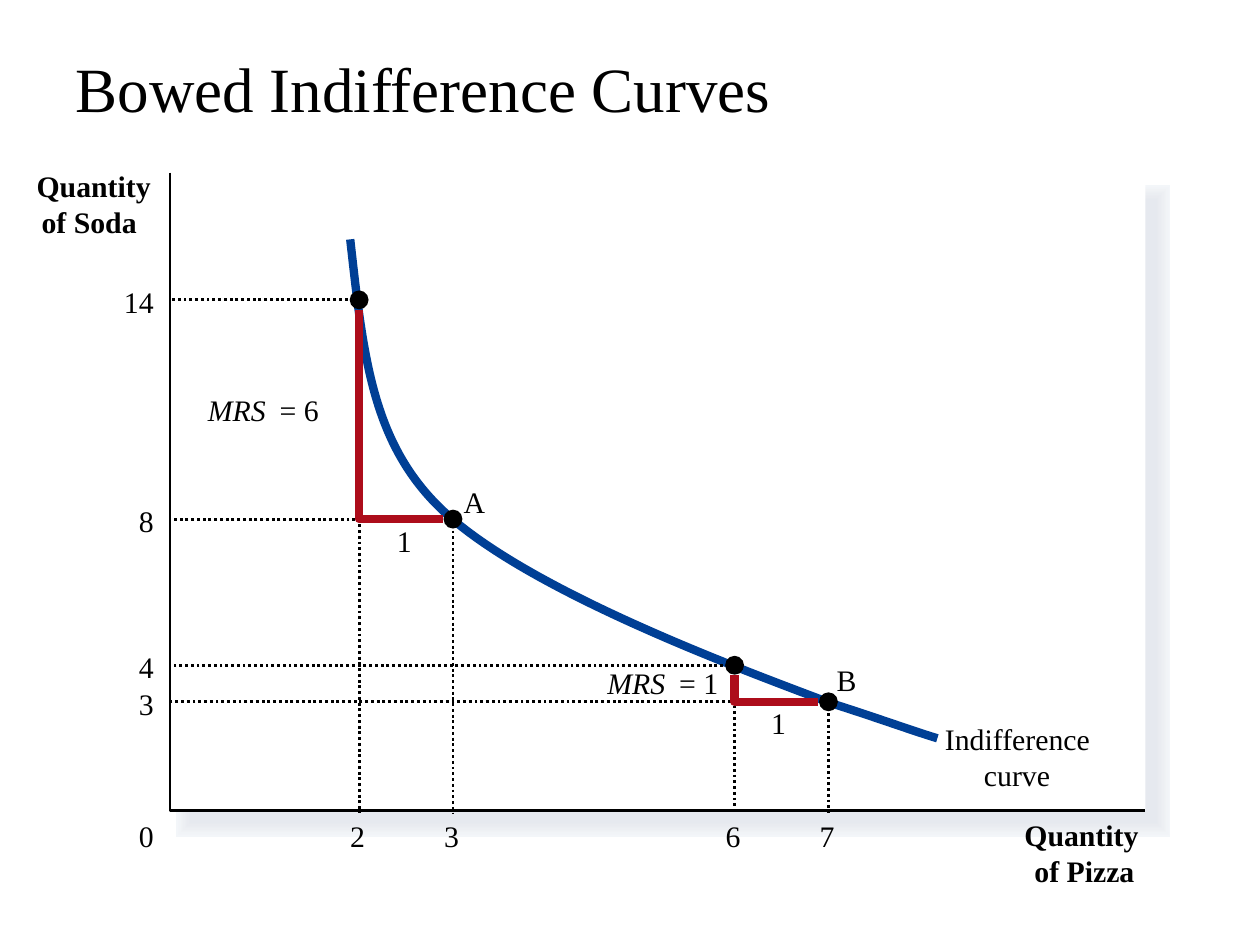
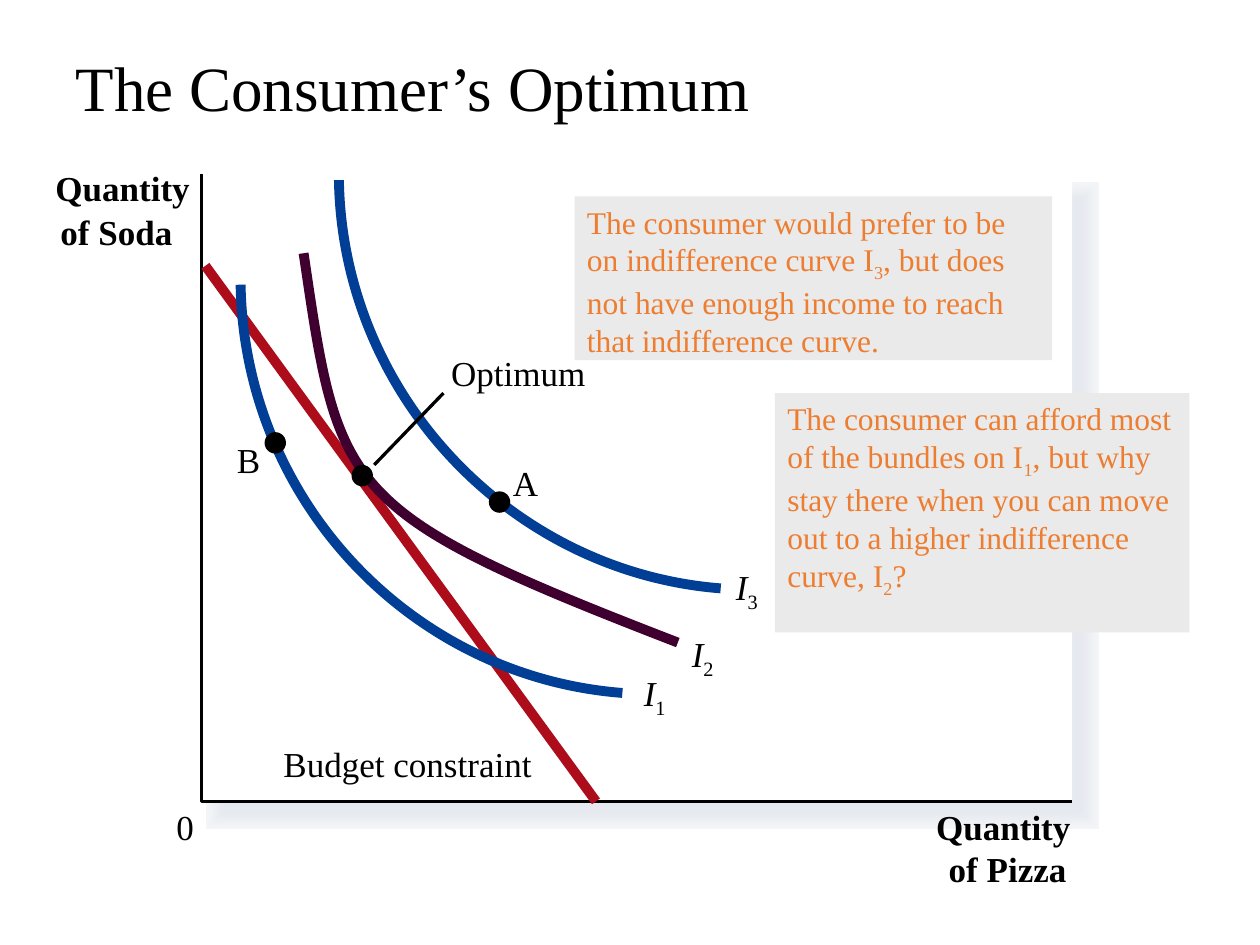
from lxml import etree
from pptx import Presentation
from pptx import util as u
from pptx.dml.color import RGBColor
from pptx.enum import dml, shapes, text
from pptx.oxml.ns import qn

BLACK, WHITE, RED, BLUE, PLUM = "000000", "FFFFFF", "AD0D1B", "003F95", "3F002F"
NOTE_FILL, NOTE_TEXT = "EAEAEA", "ED7D31"
SHADES = ["F3F6F9", "F2F4F8", "F1F4F7", "F0F2F5", "EEF1F4", "EDEFF3",
          "EBEEF2", "EAECF1", "E9EBF0", "E7EAEF", "E6E9EF"]
SOLID, DOTTED = dml.MSO_LINE.SOLID, dml.MSO_LINE.ROUND_DOT
LEFT, RIGHT = text.PP_ALIGN.LEFT, text.PP_ALIGN.RIGHT
BOLD, ITALIC = {"bold": True}, {"italic": True}

deck = Presentation()
deck.slide_width, deck.slide_height = u.Inches(10), u.Inches(7.5)
cell = deck.slide_width // 100


def paint(fill, color):
    fill.solid()
    fill.fore_color.rgb = RGBColor.from_string(color)


def write(frame, words, size, color, spacing=1.0, align=LEFT, looks={}):
    paragraph = frame.paragraphs[0]
    paragraph.alignment = align
    paragraph.line_spacing = spacing
    for order, part in enumerate(words.split("_")):
        run = paragraph.add_run()
        run.text = part
        run.font.name = "Times New Roman"
        run.font.size = u.Pt(size)
        paint(run.font.fill, color)
        if order % 2:
            run._r.get_or_add_rPr().set("baseline", "-25000")
        else:
            for key, value in looks.items():
                setattr(run.font, key, value)


bundles = {(pizza, soda): (13.6 + 7.45 * pizza, 64.4 - 2.9 * soda)
           for pizza, soda in [(2, 14), (3, 8), (6, 4), (7, 3)]}
guides, ticks, trades = [], [], []
for (pizza, soda), (x, y) in bundles.items():
    guides += [(BLACK, 1.63, DOTTED, [(x, y), (13.5, y)]),
               (BLACK, 1.63, DOTTED, [(x, y), (x, 64.5)])]
    ticks += [(str(soda), 9.7, y - 1.3, 2.5, RIGHT, {}),
              (str(pizza), x - 0.7, 64.9, 2.4, LEFT, {})]
for start, end in [((2, 14), (3, 8)), ((6, 4), (7, 3))]:
    (x, y), (end_x, end_y) = bundles[start], bundles[end]
    trades.append((RED, 4.75, SOLID, [(x, y + 0.8), (x, end_y), (end_x - 0.8, end_y)]))

bowed = {
    "title": "Bowed Indifference Curves", "title_top": 1.1,
    "plot": (13.5, 13.7, 77.4, 50.6), "shadow": (15.2, 15.9, 76.5, 49.3),
    "rim": 1.57, "axis": 1.63, "size": 17, "dot": 1.5,
    "strokes": [(BLUE, 4.75, SOLID, [
        (27.8, 19), (28.9, 28.8), (29.6, 35.8), (35.9, 41.2), (43.3, 47.5),
        (59.6, 53.4), (65.9, 55.8), (69.4, 56.9), (72.4, 58), (74.4, 58.6)])]
    + guides + trades,
    "dots": list(bundles.values()),
    "labels": ticks + [
        ("Quantity", 81.3, 64.8, 10.8, LEFT, BOLD),
        ("of Pizza", 82.1, 67.7, 10, LEFT, BOLD),
        ("Quantity", 2.9, 13.3, 10.8, LEFT, BOLD),
        ("of Soda", 3.3, 16.2, 10.3, LEFT, BOLD),
        ("0", 9.7, 64.9, 2.5, RIGHT, {}),
        ("Indifference", 75, 57.2, 13.3, LEFT, {}),
        ("curve", 78.1, 60.1, 6.7, LEFT, {}),
        ("A", 36.8, 38.4, 2.7, LEFT, {}),
        ("B", 66.4, 52.5, 2.7, LEFT, {}),
        ("1", 31.5, 41.5, 2.4, LEFT, {}),
        ("MRS", 16.5, 31.1, 5.2, LEFT, ITALIC),
        ("= 6", 22.2, 31.1, 4.5, LEFT, {}),
        ("1", 61.2, 55.9, 2.4, LEFT, {}),
        ("MRS", 48.2, 52.8, 5.2, LEFT, ITALIC),
        ("= 1", 53.9, 52.8, 4.5, LEFT, {})],
    "notes": [],
}

optimum = {
    "title": "The Consumer’s Optimum", "title_top": 1,
    "plot": (16, 13.8, 69.1, 49.8), "shadow": (17.8, 15.9, 68, 48.5),
    "rim": 1.87, "axis": 1.88, "size": 20, "dot": 1.7,
    "strokes": [
        (RED, 5.63, SOLID, [(16.3, 21.1), (47.3, 63.6)]),
        (BLUE, 5.63, SOLID, [(49.4, 55), (32.6, 53.7), (19.4, 39.7), (19.1, 22.6)]),
        (PLUM, 5.63, SOLID, [(53.8, 51), (26.9, 40.6), (26.9, 39.1), (24.1, 20.1)]),
        (BLUE, 5.63, SOLID, [(57.2, 46.7), (40.6, 45.4), (27.2, 31.4), (26.9, 14.3)]),
        (BLACK, 1.88, SOLID, [(35.2, 31.2), (29.7, 36.9)])],
    "dots": [(28.75, 37.75), (39.65, 39.85), (21.85, 35.15)],
    "labels": [
        ("Quantity", 74.3, 63.9, 11.2, LEFT, BOLD),
        ("of Pizza", 75.3, 67.3, 10.3, LEFT, BOLD),
        ("Quantity", 4.4, 13.2, 11.2, LEFT, BOLD),
        ("of Soda", 4.8, 16.7, 10.8, LEFT, BOLD),
        ("0", 14, 63.9, 1.5, LEFT, {}),
        ("Budget constraint", 22.5, 58.9, 21.6, LEFT, {}),
        ("I_1", 51.1, 53.3, 1.8, LEFT, ITALIC),
        ("I_2", 54.9, 50.2, 1.8, LEFT, ITALIC),
        ("I_3", 58.4, 44.9, 1.8, LEFT, ITALIC),
        ("Optimum", 35.8, 27.9, 11.2, LEFT, {}),
        ("A", 40.7, 36.6, 1.9, LEFT, {}),
        ("B", 18.8, 34.8, 1.9, LEFT, {})],
    "notes": [
        ("The consumer would prefer to be on indifference curve I_3_, but does not "
         "have enough income to reach that indifference curve.", (45.6, 15.6, 37.9, 13)),
        ("The consumer can afford most of the bundles on I_1_, but why stay there when "
         "you can move out to a higher indifference curve, I_2_?", (61.5, 31.2, 32.9, 19))],
}

for figure in (bowed, optimum):
    slide = deck.slides.add_slide(deck.slide_layouts[5])
    canvas = slide.shapes
    heading = canvas.title
    box = (5, figure["title_top"], 90, 12.5)
    for side, length in zip(("left", "top", "width", "height"), box):
        setattr(heading, side, int(length * cell))
    heading.text_frame.vertical_anchor = text.MSO_ANCHOR.MIDDLE
    write(heading.text_frame, figure["title"], 36, BLACK, 0.9)

    panels = [(color, figure["shadow"], figure["rim"] * (len(SHADES) - layer))
              for layer, color in enumerate(SHADES)]
    for color, box, rim in panels + [(WHITE, figure["plot"], 0)]:
        panel = canvas.add_shape(shapes.MSO_SHAPE.RECTANGLE, *(int(n * cell) for n in box))
        panel.shadow.inherit = False
        paint(panel.fill, color)
        if rim:
            paint(panel.line.fill, color)
            panel.line.width = u.Pt(rim)
            edge = panel._element.spPr.find(qn("a:ln"))
            etree.SubElement(edge, qn("a:miter")).set("lim", "800000")
        else:
            panel.line.fill.background()

    left, top, width, height = figure["plot"]
    axes = [(left, top), (left, top + height), (left + width, top + height)]
    for color, weight, dash, points in [(BLACK, figure["axis"], SOLID, axes)] + figure["strokes"]:
        spots = [(int(x * cell), int(y * cell)) for x, y in points]
        if len(spots) == 2:
            stroke = canvas.add_connector(shapes.MSO_CONNECTOR.STRAIGHT, *spots[0], *spots[1])
        else:
            builder = canvas.build_freeform(*spots[0])
            builder.add_line_segments(spots[1:], close=False)
            stroke = builder.convert_to_shape()
            stroke.fill.background()
            stroke.shadow.inherit = False
        paint(stroke.line.fill, color)
        stroke.line.width = u.Pt(weight)
        stroke.line.dash_style = dash
        if len(spots) == 2:
            etree.SubElement(stroke._element.spPr, qn("a:effectLst"))
        if len(spots) > 3:
            track = stroke._element.find(".//" + qn("a:path"))
            legs = track.findall(qn("a:lnTo"))
            for first in range(0, len(legs), 3):
                bend = etree.SubElement(track, qn("a:cubicBezTo"))
                for leg in legs[first:first + 3]:
                    bend.append(leg[0])
                    track.remove(leg)

    size = figure["dot"]
    for x, y in figure["dots"]:
        box = (x - size / 2, y - size / 2, size, size)
        dot = canvas.add_shape(shapes.MSO_SHAPE.OVAL, *(int(n * cell) for n in box))
        dot.shadow.inherit = False
        paint(dot.fill, BLACK)
        dot.line.fill.background()

    for words, left, top, width, align, looks in figure["labels"]:
        box = (left, top, width, 3.3)
        frame = canvas.add_textbox(*(int(n * cell) for n in box)).text_frame
        for side in ("left", "top", "right", "bottom"):
            setattr(frame, "margin_" + side, 0)
        frame.word_wrap = False
        write(frame, words, figure["size"], BLACK, align=align, looks=looks)

    for words, box in figure["notes"]:
        note = canvas.add_shape(shapes.MSO_SHAPE.RECTANGLE, *(int(n * cell) for n in box))
        note.shadow.inherit = False
        paint(note.fill, NOTE_FILL)
        note.line.fill.background()
        note.text_frame.word_wrap = True
        note.text_frame.vertical_anchor = text.MSO_ANCHOR.TOP
        write(note.text_frame, words, 18, NOTE_TEXT)

deck.save("out.pptx")
